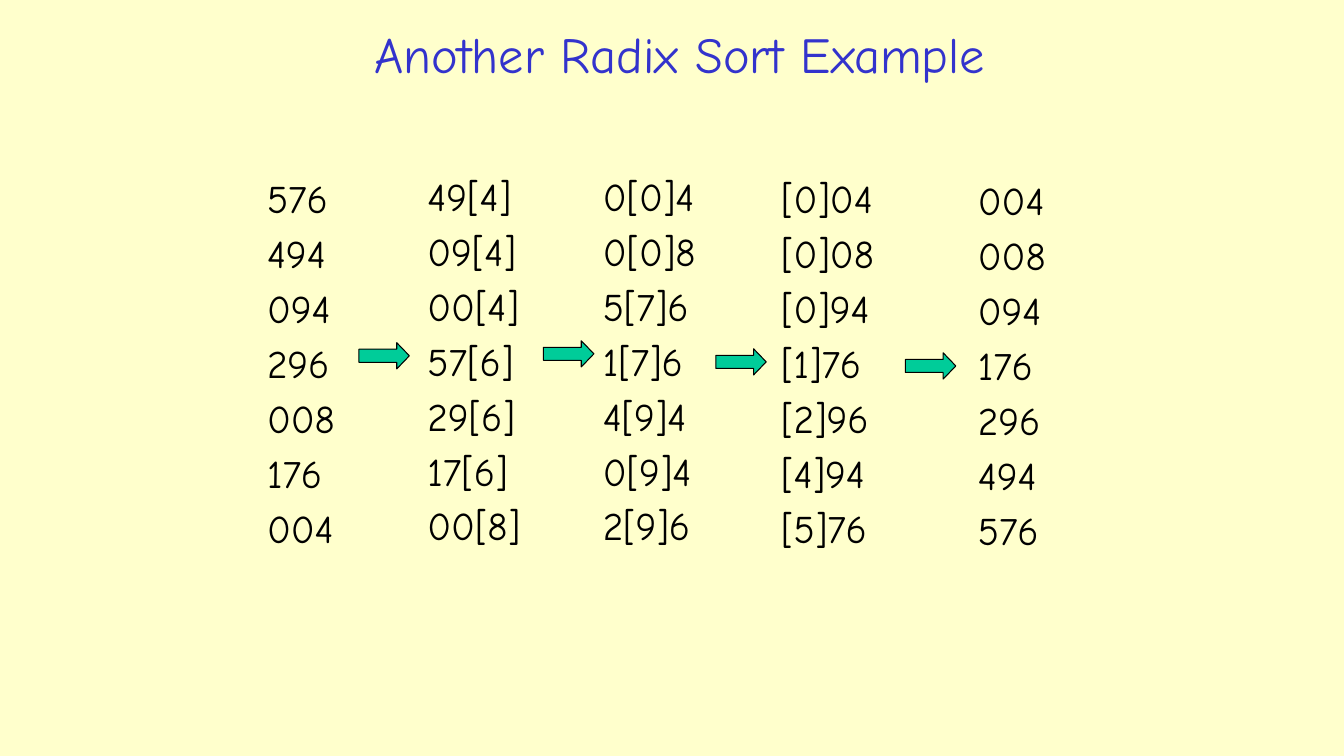
from lxml.etree import SubElement
from pptx import Presentation
from pptx.dml.color import RGBColor
from pptx.enum.shapes import MSO_SHAPE
from pptx.enum.text import MSO_ANCHOR, PP_ALIGN
from pptx.oxml.ns import qn
from pptx.util import Inches, Pt

CREAM = RGBColor(0xFF, 0xFF, 0xCC)
BLUE = RGBColor(0x33, 0x33, 0xCC)
GREEN = RGBColor(0x00, 0xCC, 0x99)
BLACK = RGBColor(0x00, 0x00, 0x00)

LISTS = [
    (19.13, 22.4, 7.28, "576 494 094 296 008 176 004"),
    (31.06, 22.13, 9.3, "49[4] 09[4] 00[4] 57[6] 29[6] 17[6] 00[8]"),
    (44.11, 22.13, 9.75, "0[0]4 0[0]8 5[7]6 1[7]6 4[9]4 0[9]4 2[9]6"),
    (57.39, 22.4, 9.15, "[0]04 [0]08 [0]94 [1]76 [2]96 [4]94 [5]76"),
    (72.02, 22.67, 7.28, "004 008 094 176 296 494 576"),
]
ARROWS = [(26.71, 45.33), (40.44, 45.07), (53.26, 46.13), (67.37, 46.67)]


class Deck:
    """Style and current slide; lengths are percent of the slide's size."""

    font = "Comic Neue"

    def __init__(self):
        self.prs = Presentation()
        self.prs.slide_width = Inches(13.33)
        self.prs.slide_height = Inches(7.5)
        self.slide = self.prs.slides.add_slide(self.prs.slide_layouts[6])
        fill = self.slide.background.fill
        fill.solid()
        fill.fore_color.rgb = CREAM

    def place(self, left, top, width, height):
        wide, high = self.prs.slide_width, self.prs.slide_height
        return [round(part * size / 100) for part, size in
                ((left, wide), (top, high), (width, wide), (height, high))]

    def frame(self, *area):
        frame = self.slide.shapes.add_textbox(*self.place(*area)).text_frame
        frame.word_wrap = True
        return frame

    def add_text(self, para, text, size, color):
        run = para.add_run()
        run.text = text
        run.font.name = self.font
        run.font.size = Pt(size)
        run.font.color.rgb = color

    def title(self, text, *area):
        frame = self.frame(*area)
        frame.vertical_anchor = MSO_ANCHOR.MIDDLE
        para = frame.paragraphs[0]
        para.alignment = PP_ALIGN.CENTER
        self.add_text(para, text, 36, BLUE)

    def column(self, items, *area):
        frame = self.frame(*area)
        for index, item in enumerate(items):
            para = frame.add_paragraph() if index else frame.paragraphs[0]
            props = para._p.get_or_add_pPr()
            props.set("marL", str(Inches(0.58)))
            props.set("indent", str(Inches(-0.58)))
            if index:
                space = SubElement(props, qn("a:spcBef"))
                SubElement(space, qn("a:spcPct")).set("val", "20000")
            self.add_text(para, item, 28, BLACK)

    def arrow(self, *area):
        shape = self.slide.shapes.add_shape(MSO_SHAPE.RIGHT_ARROW, *self.place(*area))
        shape.adjustments[1] = 0.48
        shape.shadow.inherit = False
        shape.fill.solid()
        shape.fill.fore_color.rgb = GREEN
        shape.line.color.rgb = BLACK
        shape.line.width = Pt(0.75)


def main():
    deck = Deck()
    deck.title("Another Radix Sort Example", 14.78, 2, 71.57, 10.13)
    for left, top, width, items in LISTS:
        deck.column(items.split(), left, top, width, 65.73)
    for left, top in ARROWS:
        deck.arrow(left, top, 3.75, 3.47)
    deck.prs.save("out.pptx")


if __name__ == "__main__":
    main()
